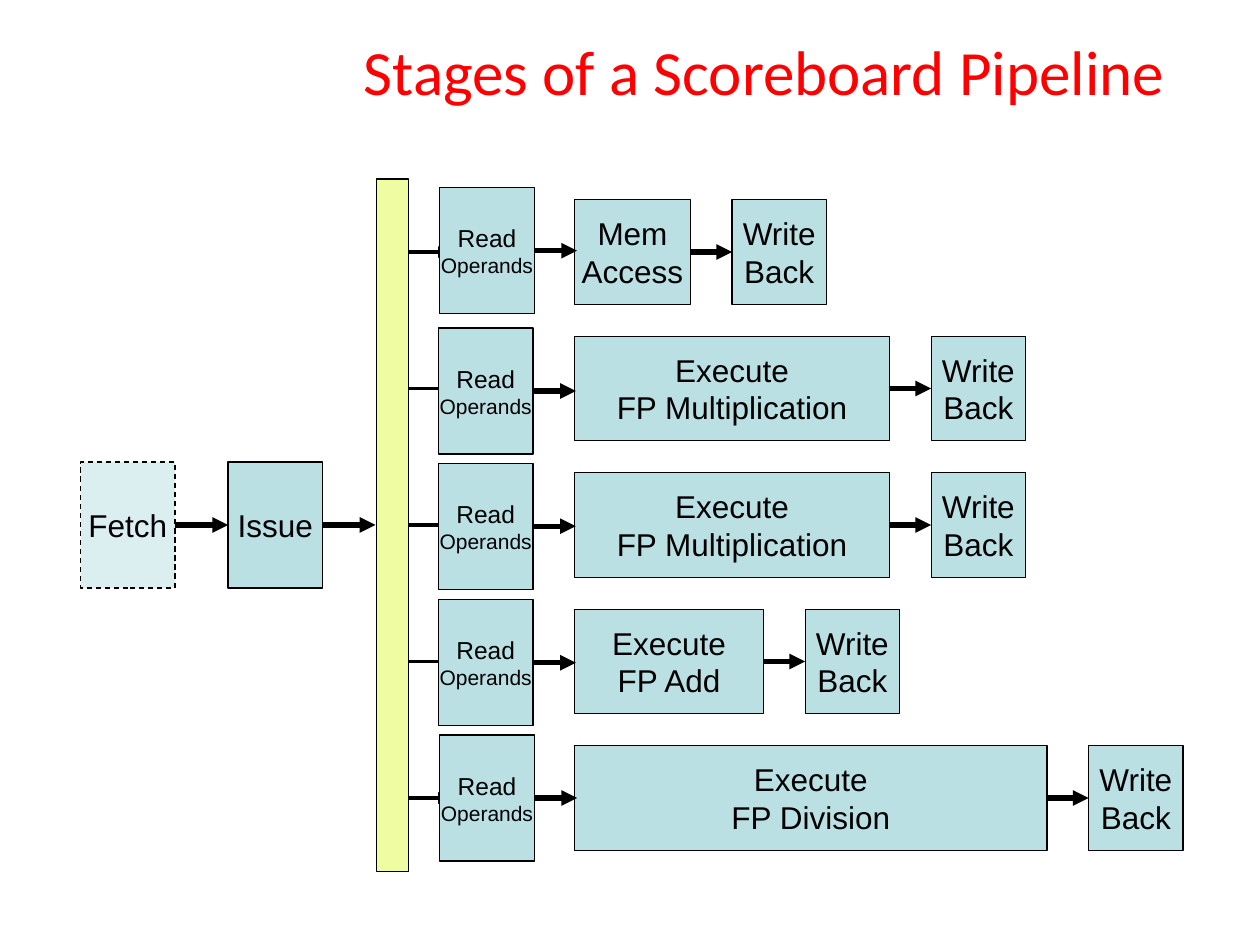
from pptx import Presentation
from pptx.dml.color import RGBColor
from pptx.enum import dml, shapes, text
from pptx.oxml.ns import qn
from pptx.util import Inches, Pt
from lxml import etree

BLACK = RGBColor(0x00, 0x00, 0x00)
RED = RGBColor(0xFF, 0x00, 0x00)
STAGE_BLUE = RGBColor(0xBB, 0xE0, 0xE3)
BAR_YELLOW = RGBColor(0xEF, 0xFC, 0xA2)

STAGE_WIDTH = 0.75
FRONT_HEIGHT = 1
UNIT_HEIGHT = 0.83
FIRST_ROW, ROW_PITCH = 2, 13 / 12
FRONT_MIDDLE = FIRST_ROW + 2 * ROW_PITCH

READ_LINES = [("Read", 14), ("Operands", 12)]
WRITE_LINES = [("Write", 18), ("Back", 18)]

# Each unit: its two lines, its width, and the shift of its read stage.
UNITS = [
    ("Mem", "Access", 0.92, 0.01, -0.01),
    ("Execute", "FP Multiplication", 2.5, 0, 0.02),
    ("Execute", "FP Multiplication", 2.5, 0, 0.01),
    ("Execute", "FP Add", 1.5, 0, 0.01),
    ("Execute", "FP Division", 3.75, 0.01, 0),
]


def add_box(slide, left, top, width, height, color):
    box = slide.shapes.add_shape(
        shapes.MSO_SHAPE.RECTANGLE,
        Inches(left), Inches(top), Inches(width), Inches(height))
    box.shadow.inherit = False
    box.fill.solid()
    box.fill.fore_color.rgb = color
    box.line.color.rgb = BLACK
    box.line.width = Pt(0.75)
    return box


def add_stage(slide, left, middle, width, height, lines):
    stage = add_box(slide, left, middle - height / 2, width, height, STAGE_BLUE)
    frame = stage.text_frame
    frame.word_wrap = False
    frame.vertical_anchor = text.MSO_ANCHOR.MIDDLE
    frame.margin_left = frame.margin_right = Inches(0.1)
    frame.margin_top = frame.margin_bottom = Inches(0.05)
    frame.text = "\n".join(line for line, size in lines)
    for paragraph, (line, size) in zip(frame.paragraphs, lines):
        paragraph.alignment = text.PP_ALIGN.CENTER
        paragraph.font.name = "Arial"
        paragraph.font.size = Pt(size)
        paragraph.font.color.rgb = BLACK
    return stage


def add_arrow(slide, start, end, middle, weight=3):
    arrow = slide.shapes.add_connector(
        shapes.MSO_CONNECTOR.STRAIGHT,
        Inches(start), Inches(middle), Inches(end), Inches(middle))
    arrow.line.color.rgb = BLACK
    arrow.line.width = Pt(weight)
    etree.SubElement(arrow.line._get_or_add_ln(), qn("a:tailEnd"), type="triangle")
    etree.SubElement(arrow._element.spPr, qn("a:effectLst"))


def add_title(slide, left, top, width, height):
    title = slide.shapes.title
    title.left, title.top = Inches(left), Inches(top)
    title.width, title.height = Inches(width), Inches(height)
    title.text_frame.text = "Stages of a Scoreboard Pipeline"
    title.text_frame.vertical_anchor = text.MSO_ANCHOR.MIDDLE
    paragraph = title.text_frame.paragraphs[0]
    paragraph.alignment = text.PP_ALIGN.CENTER
    paragraph.font.name = "Calibri"
    paragraph.font.size = Pt(36)
    paragraph.font.color.rgb = RED


def add_front_end(slide, left, middle):
    fetch = add_stage(slide, left, middle, STAGE_WIDTH, FRONT_HEIGHT, [("Fetch", 18)])
    fetch.line.dash_style = dml.MSO_LINE.DASH
    color = fetch.fill._xPr.find(qn("a:solidFill"))[0]
    etree.SubElement(color, qn("a:alpha"), val="50000")
    issue_left = left + 1.17
    add_stage(slide, issue_left, middle, STAGE_WIDTH, FRONT_HEIGHT, [("Issue", 18)])
    for stage_left in (left, issue_left):
        start = stage_left + STAGE_WIDTH
        add_arrow(slide, start, start + 0.42, middle)


def add_unit_row(slide, left, middle, unit):
    first, second, width, shift_x, shift_y = unit
    execute_left = left + 1.4
    execute_right = execute_left + width
    write_left = execute_right + 0.33
    read_left, read_middle = left + 0.32 + shift_x, middle + shift_y
    add_arrow(slide, left, left + 0.41, middle, 2.25)
    add_stage(slide, execute_left, middle, width, UNIT_HEIGHT,
              [(first, 18), (second, 18)])
    add_stage(slide, write_left, middle, STAGE_WIDTH, UNIT_HEIGHT, WRITE_LINES)
    add_arrow(slide, execute_right, write_left, middle)
    add_arrow(slide, left + 1 + shift_x, left + 1.41 + shift_x, read_middle)
    add_stage(slide, read_left, read_middle, STAGE_WIDTH, FRONT_HEIGHT, READ_LINES)


def main():
    presentation = Presentation()
    presentation.slide_width = Inches(10)
    presentation.slide_height = Inches(7.5)
    slide = presentation.slides.add_slide(presentation.slide_layouts[5])
    add_title(slide, 2.64, 0.13, 6.85, 0.86)
    for row, unit in enumerate(UNITS):
        add_unit_row(slide, 3.16, FIRST_ROW + row * ROW_PITCH, unit)
    add_box(slide, 2.99, 1.42, 0.25, 5.5, BAR_YELLOW)
    add_front_end(slide, 0.64, FRONT_MIDDLE)
    presentation.save("out.pptx")


if __name__ == "__main__":
    main()
